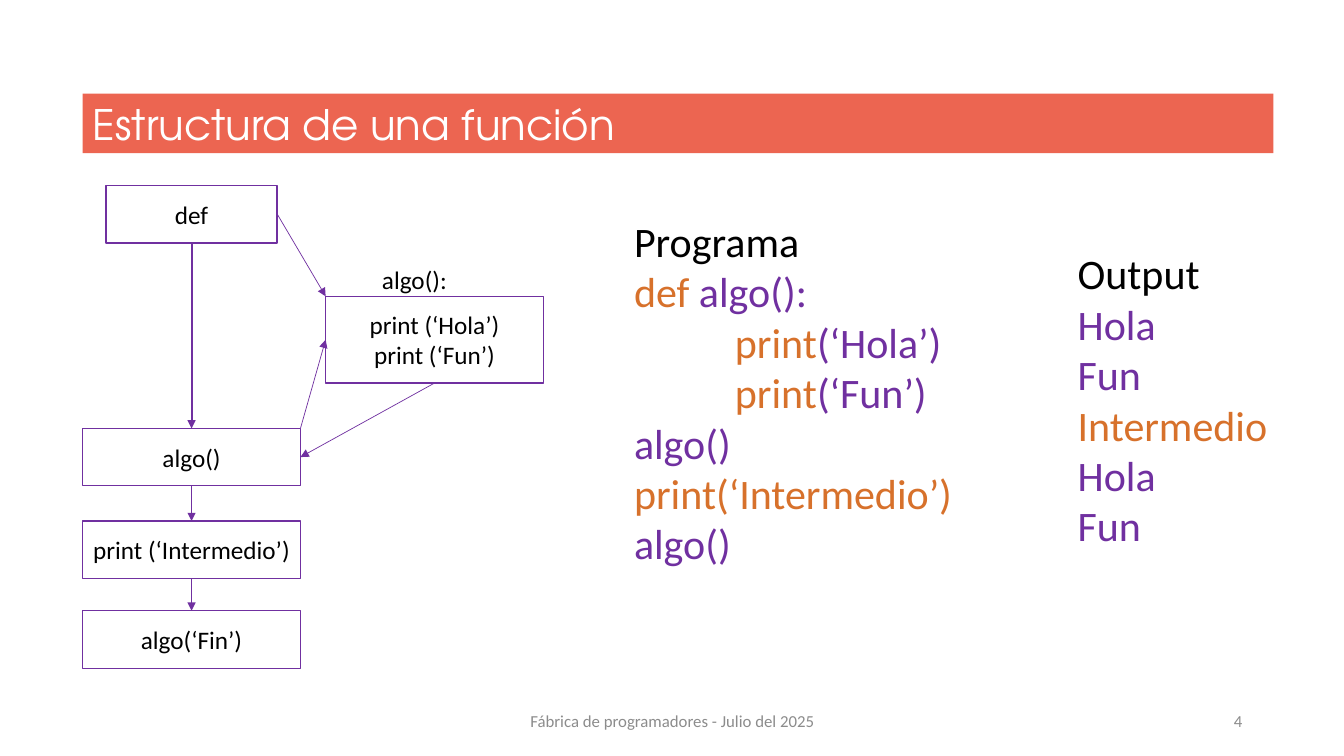
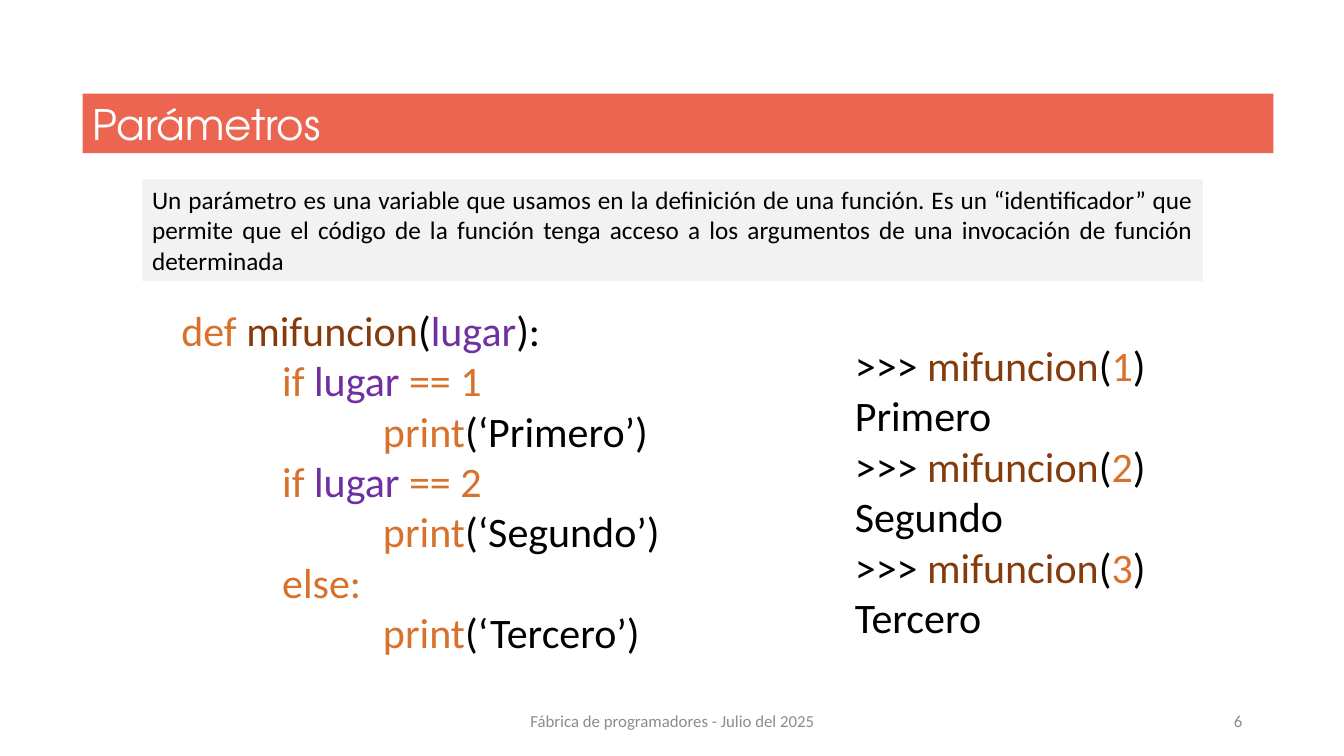
from lxml import etree
from pptx import Presentation
from pptx.dml.color import RGBColor
from pptx.enum.shapes import MSO_CONNECTOR, MSO_SHAPE
from pptx.enum.text import MSO_ANCHOR, PP_ALIGN
from pptx.oxml.ns import qn
from pptx.util import Inches, Pt

RECT = MSO_SHAPE.RECTANGLE
STRAIGHT = MSO_CONNECTOR.STRAIGHT
LEFT, CENTER, RIGHT, JUSTIFY = (
    PP_ALIGN.LEFT, PP_ALIGN.CENTER, PP_ALIGN.RIGHT, PP_ALIGN.JUSTIFY)
TOP, MIDDLE = MSO_ANCHOR.TOP, MSO_ANCHOR.MIDDLE

CORAL = RGBColor(0xEC, 0x65, 0x51)
PURPLE = RGBColor(0x70, 0x30, 0xA0)
ORANGE = RGBColor(0xD7, 0x71, 0x2B)
BROWN = RGBColor(0x84, 0x3C, 0x0C)
BLACK = RGBColor(0, 0, 0)
WHITE = RGBColor(0xFF, 0xFF, 0xFF)
GRAY = RGBColor(0x8C, 0x8C, 0x8C)
LIGHT = RGBColor(0xF2, 0xF2, 0xF2)

BODY_FONT, TITLE_FONT = "Calibri", "TeX Gyre Adventor"
FOOTER = "Fábrica de programadores - Julio del 2025"
MARGIN = 0.82
INDENT = 1


def line(*runs, level=0):
    """One line of code: (text, colour) runs and an indent level."""
    return level, runs


def write(shape, content, size=18, font=BODY_FONT, color=BLACK,
          align=LEFT, anchor=TOP, inset=0.1):
    """Fill a shape with a string or with a list of line() values."""
    tf = shape.text_frame
    tf.word_wrap = True
    tf.vertical_anchor = anchor
    tf.margin_left = tf.margin_right = Inches(inset)
    if isinstance(content, str):
        content = [line((t, color)) for t in content.split("\n")]
    for i, (level, runs) in enumerate(content):
        p = tf.add_paragraph() if i else tf.paragraphs[0]
        p.alignment = align
        if level:
            p._p.get_or_add_pPr().set("marL", str(Inches(level * INDENT)))
        for text, run_color in runs:
            r = p.add_run()
            r.text = text
            r.font.size = Pt(size)
            r.font.name = font
            r.font.color.rgb = run_color


def add_text(s, x, y, w, h, content, **fmt):
    write(s.shapes.add_textbox(Inches(x), Inches(y), Inches(w), Inches(h)),
          content, **fmt)


def add_box(s, x, y, w, h, content, fill, border=None, **fmt):
    sp = s.shapes.add_shape(RECT, Inches(x), Inches(y), Inches(w), Inches(h))
    sp.shadow.inherit = False
    sp.fill.solid()
    sp.fill.fore_color.rgb = fill
    if border is None:
        sp.line.fill.background()
    else:
        sp.line.color.rgb = border
        sp.line.width = Pt(1)
    write(sp, content, **fmt)
    return sp


def add_step(s, x, y, w, h, text):
    return add_box(s, x, y, w, h, text, WHITE, PURPLE,
                   align=CENTER, anchor=MIDDLE, inset=0.05)


def add_arrow(s, start, end, width=0.5):
    """Join two points, each a shape with fractions of its width and height."""
    ends = [round(v) for sp, fx, fy in (start, end)
            for v in (sp.left + fx * sp.width, sp.top + fy * sp.height)]
    c = s.shapes.add_connector(STRAIGHT, *ends)
    c.line.color.rgb = PURPLE
    c.line.width = Pt(width)
    props = c.element.spPr
    etree.SubElement(props.find(qn("a:ln")), qn("a:tailEnd"), type="triangle")
    etree.SubElement(props, qn("a:effectLst"))


def add_slide(prs, title, number):
    s = prs.slides.add_slide(prs.slide_layouts[6])
    add_box(s, MARGIN, 0.93, 11.81, 0.59, title, CORAL,
            size=30, font=TITLE_FONT, color=WHITE, anchor=MIDDLE)
    footer = dict(size=12, color=GRAY, anchor=MIDDLE)
    add_text(s, 4.42, 6.95, 4.5, 0.4, FOOTER, align=CENTER, **footer)
    add_text(s, 9.42, 6.95, 3, 0.4, str(number), align=RIGHT, **footer)
    return s


def add_flow(s):
    define = add_step(s, 1.05, 1.84, 1.7, 0.57, "def")
    body = add_step(s, 3.23, 2.94, 2.16, 0.86, "print (‘Hola’)\nprint (‘Fun’)")
    call, between, last = [
        add_step(s, MARGIN, y, 2.16, 0.57, text)
        for y, text in ((4.25, "algo()"), (5.17, "print (‘Intermedio’)"),
                        (6.06, "algo(‘Fin’)"))]
    add_text(s, 3.69, 2.57, 1.23, 0.4, "algo():")

    add_arrow(s, (define, 0.5, 1), (call, 0.5, 0), width=1.5)
    add_arrow(s, (call, 0.5, 1), (between, 0.5, 0))
    add_arrow(s, (between, 0.5, 1), (last, 0.5, 0))
    add_arrow(s, (define, 1, 0.5), (body, 0, 0))
    add_arrow(s, (call, 1, 0), (body, 0, 0.5))
    add_arrow(s, (body, 0.5, 1), (call, 1, 0.5))


def structure_slide(prs):
    s = add_slide(prs, "Estructura de una función", 4)
    add_flow(s)
    program = [
        line(("Programa", BLACK)),
        line(("def ", ORANGE), ("algo():", PURPLE)),
        *[line(("print", ORANGE), (f"(‘{word}’)", PURPLE), level=1)
          for word in ("Hola", "Fun")],
        line(("algo()", PURPLE)),
        line(("print(‘Intermedio’)", ORANGE)),
        line(("algo()", PURPLE)),
    ]
    add_text(s, 6.19, 2.09, 3.55, 3.64, program, size=30)
    call_output = [line((word, PURPLE)) for word in ("Hola", "Fun")]
    output = [line(("Output", BLACK)), *call_output,
              line(("Intermedio", ORANGE)), *call_output]
    add_text(s, 10.59, 2.41, 2.43, 3.13, output, size=30)


def parameters_slide(prs):
    s = add_slide(prs, "Parámetros", 6)
    add_box(s, 1.41, 1.78, 10.52, 1.01,
            "Un parámetro es una variable que usamos en la definición de una "
            "función. Es un “identificador” que permite que el código de la "
            "función tenga acceso a los argumentos de una invocación de "
            "función determinada", LIGHT, align=JUSTIFY)

    words = ("Primero", "Segundo", "Tercero")
    code = [line(("def ", ORANGE), ("mifuncion", BROWN), ("(", BLACK),
                 ("lugar", PURPLE), ("):", BLACK))]
    session = []
    for n, word in enumerate(words, 1):
        if n < len(words):
            test = [("if ", ORANGE), ("lugar", PURPLE), (f" == {n}", ORANGE)]
        else:
            test = [("else:", ORANGE)]
        code += [line(*test, level=1),
                 line(("print", ORANGE), (f"(‘{word}’)", BLACK), level=2)]
        session += [line((">>> ", BLACK), ("mifuncion", BROWN), ("(", BLACK),
                         (str(n), ORANGE), (")", BLACK)),
                    line((word, BLACK))]
    add_text(s, 1.7, 2.97, 5.65, 4.14, code, size=30)
    add_text(s, 8.38, 3.32, 3.25, 3.64, session, size=30)


def main():
    prs = Presentation()
    prs.slide_width, prs.slide_height = Inches(13.33), Inches(7.5)
    structure_slide(prs)
    parameters_slide(prs)
    prs.save("out.pptx")


if __name__ == "__main__":
    main()
